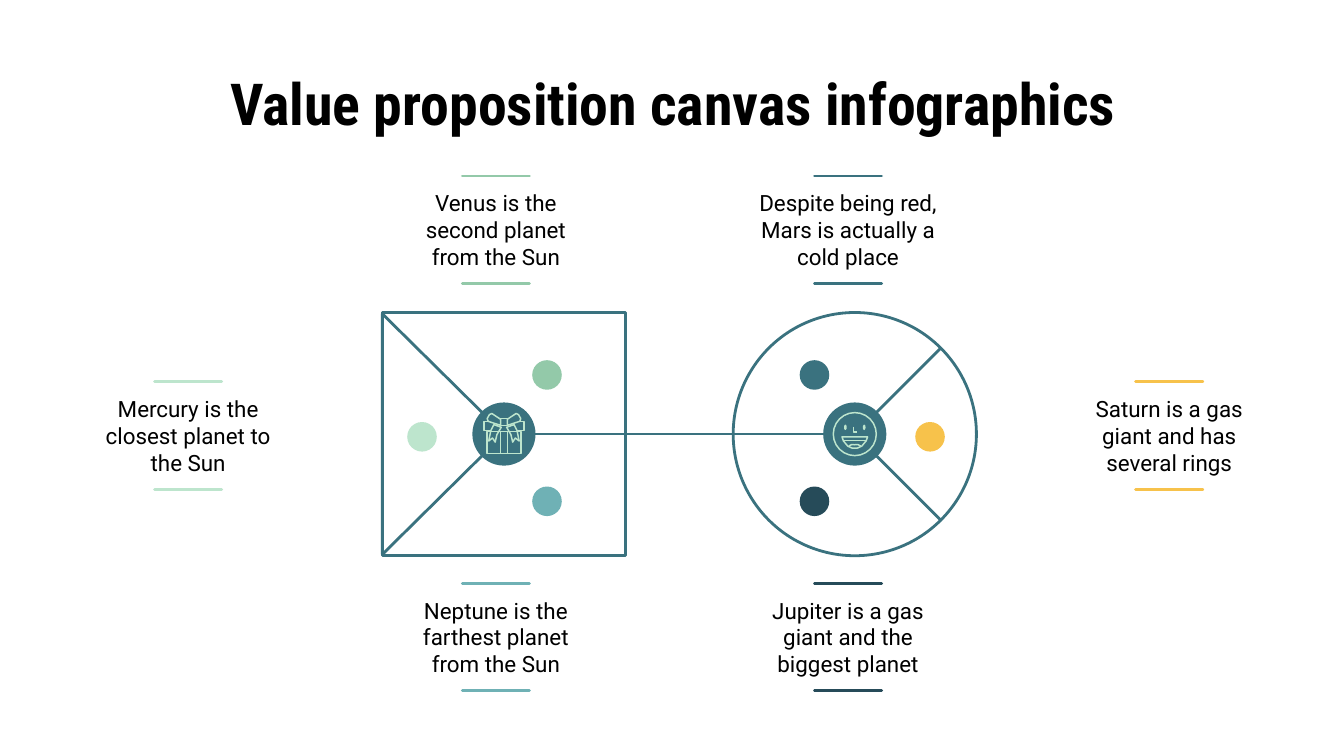
import pptx
import pptx.dml.color
import pptx.enum.shapes
import pptx.enum.text
import pptx.oxml
import pptx.oxml.ns
import pptx.util

Inches = pptx.util.Inches
Pt = pptx.util.Pt
RGBColor = pptx.dml.color.RGBColor
Shapes = pptx.enum.shapes.MSO_SHAPE

BLACK = RGBColor(0x00, 0x00, 0x00)
TEAL = RGBColor(0x3A, 0x72, 0x7F)
MINT = RGBColor(0xBD, 0xE5, 0xCD)
GREEN = RGBColor(0x93, 0xC9, 0xA9)
AQUA = RGBColor(0x6F, 0xB1, 0xB5)
NAVY = RGBColor(0x26, 0x4B, 0x59)
YELLOW = RGBColor(0xF7, 0xC2, 0x4B)

TITLE = "Value proposition canvas infographics"
COLUMNS = {"far left": 1.4, "left": 3.69, "right": 6.31, "far right": 8.7}
ROWS = {"top": 1.31, "middle": 2.84, "bottom": 4.34}
NOTES = [
    ("Mercury is the closest planet to the Sun", "far left", "middle", MINT, (3.14, 3.25)),
    ("Venus is the second planet from the Sun", "left", "top", GREEN, (4.07, 2.79)),
    ("Neptune is the farthest planet from the Sun", "left", "bottom", AQUA, (4.07, 3.73)),
    ("Jupiter is a gas giant and the biggest planet", "right", "bottom", NAVY, (6.06, 3.73)),
    ("Despite being red, Mars is actually a cold place", "right", "top", TEAL, (6.06, 2.79)),
    ("Saturn is a gas giant and has several rings", "far right", "middle", YELLOW, (6.92, 3.25)),
]
NOTE_WIDTH, NOTE_HEIGHT = 1.62, 0.77
RULE_WIDTH, RULE_GAP = 0.5, 0.8
DOT = 0.22

SQUARE_X, CIRCLE_X, CENTER_Y = 3.75, 6.36, 3.23
CANVAS, HUB = 1.81, 0.47
SPOKE = 0.64

GIFT_CENTER = [
    ([(-125, -20), (125, -20), (125, 145), (-125, 145)], True),
    ([(-25, -115), (25, -115), (25, -65), (-25, -65)], True),
]
GIFT_HALF = [
    ([(-25, -20), (-25, 145)], False),
    ([(-118, -95), (-150, -95), (-150, -25), (-95, -25)], False),
    ([(-25, -110), (-90, -153), (-108, -145), (-125, -115), (-118, -95), (-25, -65)], True),
    ([(-75, -70), (-98, -25), (-113, 52), (-85, 30), (-65, 60), (-52, 5), (-20, -50)], True),
]
FACE = [
    ([(-10, -55), (-10, -15), (15, -15)], False),
    ([(-95, 20), (95, 20), (85, 50), (52, 90), (20, 104), (-20, 104), (-52, 90), (-85, 50)], True),
    ([(-85, 48), (85, 48)], False),
    ([(-45, 90), (-22, 78), (0, 80), (22, 78), (45, 90)], False),
]
MIRRORED = [([(-x, y) for x, y in points], closed) for points, closed in GIFT_HALF]
GIFT = GIFT_CENTER + GIFT_HALF + MIRRORED

presentation = pptx.Presentation()
presentation.slide_width = Inches(10)
presentation.slide_height = presentation.slide_width * 9 // 16
slide = presentation.slides.add_slide(presentation.slide_layouts[5])


def style(shape, fill=None, line=None, width=1.5):
    shape.shadow.inherit = False
    if fill is None:
        shape.fill.background()
    else:
        shape.fill.solid()
        shape.fill.fore_color.rgb = fill
    if line is None:
        shape.line.fill.background()
    else:
        shape.line.color.rgb = line
        shape.line.width = Pt(width)


def add_centered(kind, x, y, width, height, fill=None, line=None, weight=1.5):
    shape = slide.shapes.add_shape(
        kind, Inches(x - width / 2), Inches(y - height / 2), Inches(width), Inches(height))
    style(shape, fill, line, weight)
    return shape


def add_line(x1, y1, x2, y2, color):
    connector = slide.shapes.add_connector(
        pptx.enum.shapes.MSO_CONNECTOR.STRAIGHT, Inches(x1), Inches(y1), Inches(x2), Inches(y2))
    connector.line.color.rgb = color
    connector.line.width = Pt(1.5)
    properties = connector._element.spPr
    properties.get_or_add_ln().set("cap", "rnd")
    properties.append(pptx.oxml.parse_xml("<a:effectLst %s/>" % pptx.oxml.ns.nsdecls("a")))


def write(frame, text, font, size, bold=False):
    frame.word_wrap = True
    frame.auto_size = pptx.enum.text.MSO_AUTO_SIZE.NONE
    frame.margin_left = frame.margin_right = Inches(0.1)
    frame.margin_top = frame.margin_bottom = Inches(0.1)
    paragraph = frame.paragraphs[0]
    paragraph.alignment = pptx.enum.text.PP_ALIGN.CENTER
    run = paragraph.add_run()
    run.text = text
    run.font.name = font
    run.font.size = Pt(size)
    run.font.bold = bold
    run.font.color.rgb = BLACK


def add_icon(strokes, x):
    for points, closed in strokes:
        builder = slide.shapes.build_freeform(*points[0], scale=Inches(1) / 1000)
        builder.add_line_segments(points[1:], close=closed)
        style(builder.convert_to_shape(Inches(x), Inches(CENTER_Y)), line=MINT, width=0.8)


title = slide.shapes.title
title.left, title.top = Inches(0.5), Inches(0.45)
title.width, title.height = Inches(9.01), Inches(0.62)
title.text_frame.vertical_anchor = pptx.enum.text.MSO_ANCHOR.MIDDLE
write(title.text_frame, TITLE, "Roboto Condensed", 31, True)

add_centered(Shapes.OVAL, CIRCLE_X, CENTER_Y, CANVAS, CANVAS, line=TEAL)
add_centered(Shapes.RECTANGLE, SQUARE_X, CENTER_Y, CANVAS, CANVAS, line=TEAL)
add_line(SQUARE_X, CENTER_Y, CIRCLE_X, CENTER_Y, TEAL)
wedge = add_centered(
    Shapes.ISOSCELES_TRIANGLE, SQUARE_X - CANVAS / 4, CENTER_Y, 1.79, CANVAS / 2, line=TEAL)
wedge.rotation = 90
for direction in (1, -1):
    add_line(CIRCLE_X, CENTER_Y, CIRCLE_X + SPOKE, CENTER_Y + direction * SPOKE, TEAL)

for hub_x in (SQUARE_X, CIRCLE_X):
    add_centered(Shapes.OVAL, hub_x, CENTER_Y, HUB, HUB, fill=TEAL)
add_icon(GIFT, SQUARE_X)
add_centered(Shapes.OVAL, CIRCLE_X, CENTER_Y, 0.32, 0.32, line=MINT, weight=0.8)
for eye_offset in (-0.07, 0.07):
    add_centered(Shapes.OVAL, CIRCLE_X + eye_offset, CENTER_Y - 0.05, 0.02, 0.04, fill=MINT)
add_icon(FACE, CIRCLE_X)

for text, column, row, color, (dot_x, dot_y) in NOTES:
    x, y = COLUMNS[column], ROWS[row]
    note = slide.shapes.add_textbox(
        Inches(x - NOTE_WIDTH / 2), Inches(y), Inches(NOTE_WIDTH), Inches(NOTE_HEIGHT))
    write(note.text_frame, text, "Roboto", 12)
    for rule_y in (y, y + RULE_GAP):
        add_line(x - RULE_WIDTH / 2, rule_y, x + RULE_WIDTH / 2, rule_y, color)
    add_centered(Shapes.OVAL, dot_x, dot_y, DOT, DOT, fill=color)

presentation.save("out.pptx")
